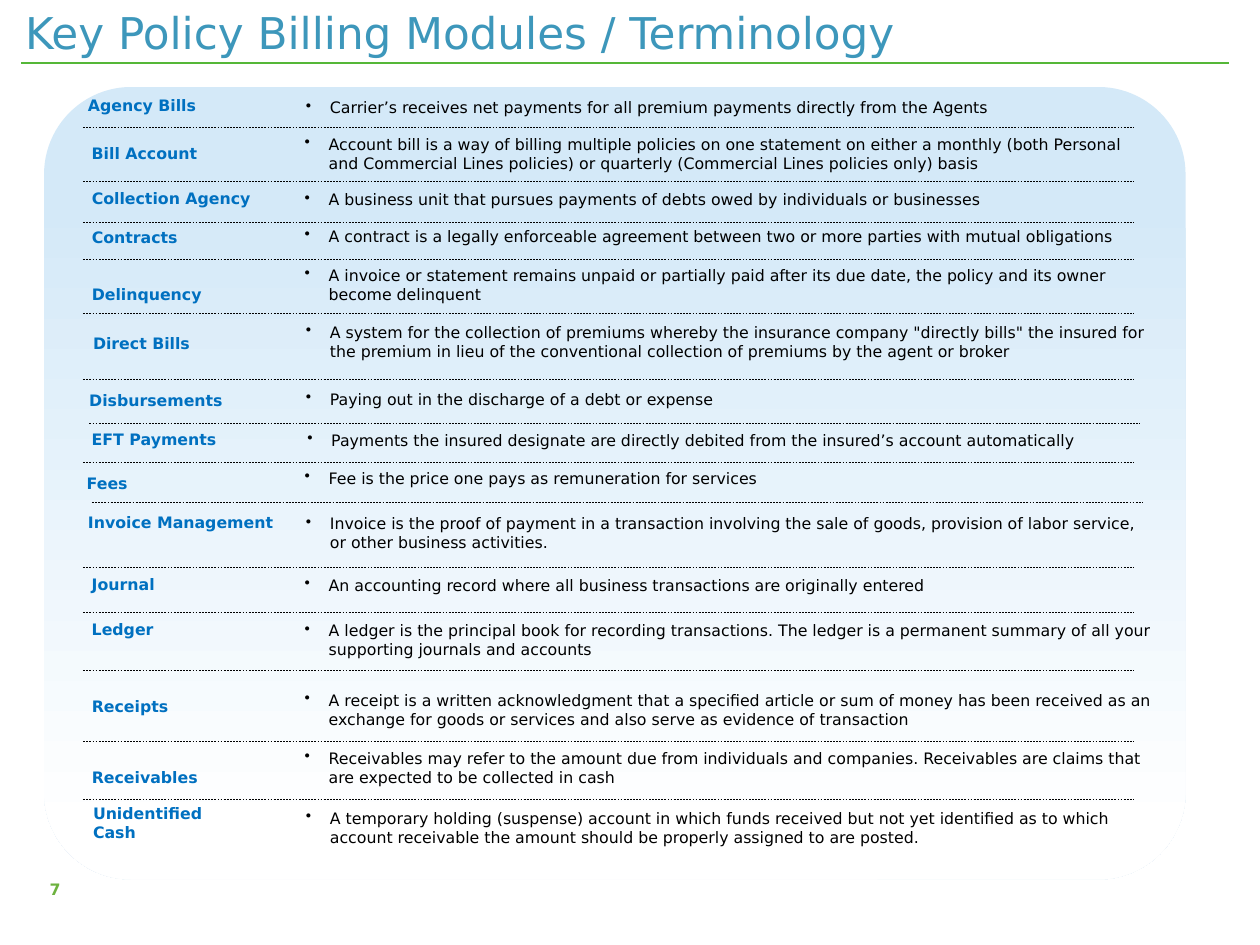
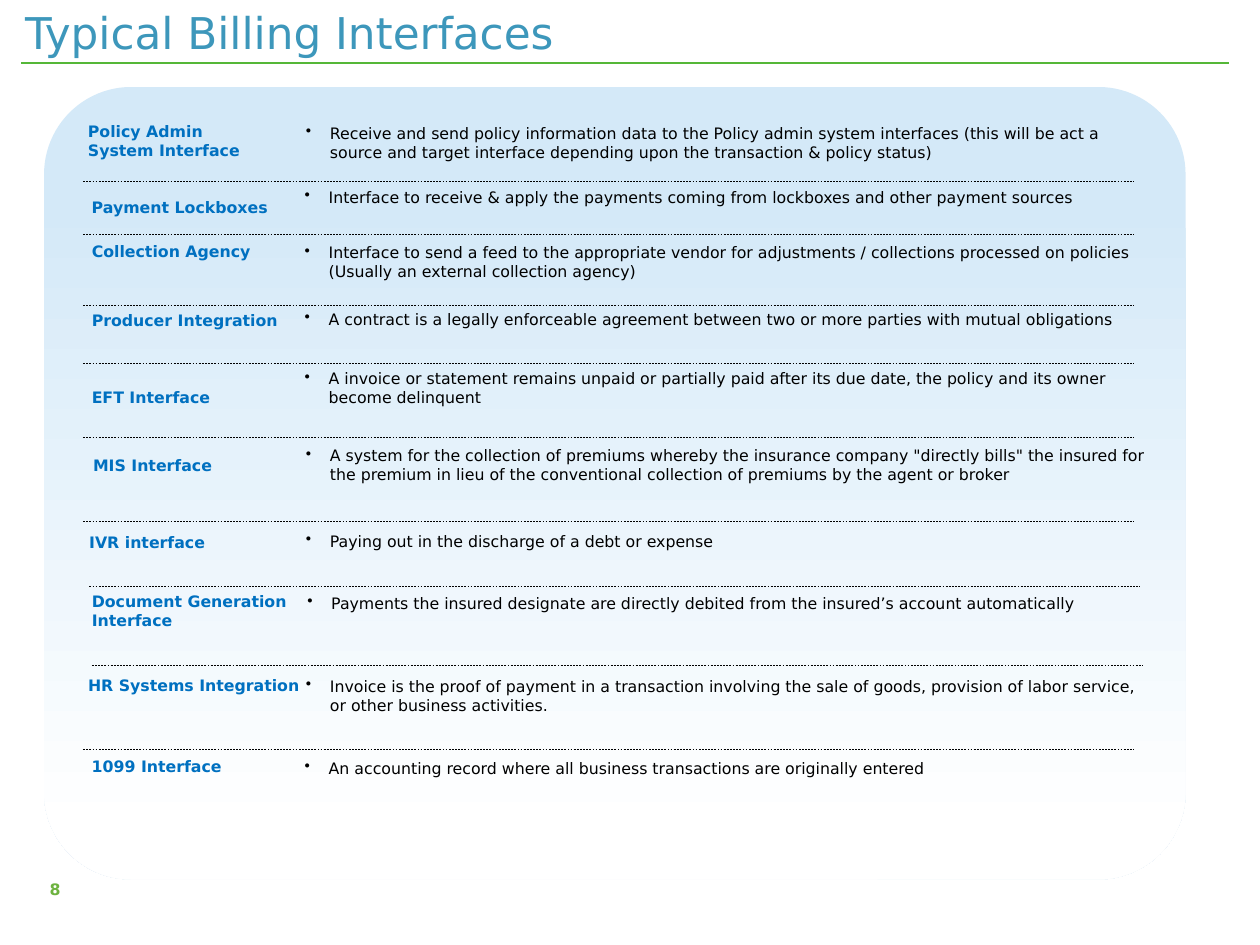
"""Builds two slides on insurance billing: key terms and typical interfaces."""
import pptx
import pptx.dml.color
import pptx.enum.dml
import pptx.enum.shapes
import pptx.enum.text
import pptx.oxml
import pptx.util
from pptx.util import Inches

FONT = "DejaVu Sans"
COLORS = {
    "title": "3D97BB", "rule": "55B738", "page": "6DB23F", "label": "0070C0",
    "text": "000000", "top": "D4E9F8", "base": "FFFFFF",
}
RULE_W = 8.34
EDGE, MID, FAR = 0.66, 0.71, 0.73

DEFS = {
    "contract": "A contract is a legally enforceable agreement between two or more parties with mutual obligations",
    "late": "A invoice or statement remains unpaid or partially paid after its due date, the policy and its owner become delinquent",
    "direct": "A system for the collection of premiums whereby the insurance company \"directly bills\" the insured for the premium in lieu of the conventional collection of premiums by the agent or broker",
    "payout": "Paying out in the discharge of a debt or expense",
    "debit": "Payments the insured designate are directly debited from the insured’s account automatically",
    "invoice": "Invoice is the proof of payment in a transaction involving the sale of goods, provision of labor service, or other business activities.",
    "journal": "An accounting record where all business transactions are originally entered",
}

# fmt: off
TERMS = [
    ("Agency Bills", (0.6, 0.71, 1.67, 0.25), "Carrier’s receives net payments for all premium payments directly from the Agents", (2.33, 0.73), None),
    ("Bill Account", (0.63, 1.09, 1.4, 0.25), "Account bill is a way of billing multiple policies on one statement on either a monthly (both Personal and Commercial Lines policies) or quarterly (Commercial Lines policies only) basis", (2.32, 1.02), (EDGE, 1.01)),
    ("Collection Agency", (0.63, 1.45, 1.59, 0.25), "A business unit that pursues payments of debts owed by individuals or businesses", (2.32, 1.46), (EDGE, 1.44)),
    ("Contracts", (0.63, 1.76, 1.58, 0.25), DEFS["contract"], (2.32, 1.75), (EDGE, 1.76)),
    ("Delinquency", (0.63, 2.21, 1.59, 0.25), DEFS["late"], (2.32, 2.06), (EDGE, 2.06)),
    ("Direct Bills", (0.64, 2.6, 1.4, 0.25), DEFS["direct"], (2.33, 2.51), (EDGE, 2.49)),
    ("Disbursements", (0.61, 3.05, 1.74, 0.25), DEFS["payout"], (2.33, 3.04), (EDGE, 3.01)),
    ("EFT Payments", (0.63, 3.36, 1.57, 0.25), DEFS["debit"], (2.34, 3.37), (MID, 3.36)),
    ("Fees", (0.59, 3.71, 1.57, 0.25), "Fee is the price one pays as remuneration for services", (2.32, 3.67), (EDGE, 3.67)),
    ("Invoice Management", (0.6, 4.02, 1.67, 0.4), DEFS["invoice"], (2.33, 4.03), (FAR, 3.99)),
    ("Journal", (0.63, 4.51, 1.4, 0.25), DEFS["journal"], (2.32, 4.52), (EDGE, 4.5)),
    ("Ledger", (0.63, 4.87, 1.4, 0.25), "A ledger is the principal book for recording transactions. The ledger is a permanent summary of all your supporting journals and accounts", (2.32, 4.88), (EDGE, 4.86)),
    ("Receipts", (0.63, 5.48, 1.58, 0.25), "A receipt is a written acknowledgment that a specified article or sum of money has been received as an exchange for goods or services and also serve as evidence of transaction", (2.32, 5.43), (EDGE, 5.32)),
    ("Receivables", (0.63, 6.04, 1.59, 0.25), "Receivables may refer to the amount due from individuals and companies. Receivables are claims that are expected to be collected in cash", (2.32, 5.89), (EDGE, 5.88)),
    ("Unidentified Cash", (0.64, 6.33, 1.4, 0.4), "A temporary holding (suspense) account in which funds received but not yet identified as to which account receivable the amount should be properly assigned to are posted.", (2.33, 6.37), (EDGE, 6.34)),
]
LINKS = [
    ("Policy Admin System Interface", (0.6, 0.92, 1.67, 0.4), "Receive and send policy information data to the Policy admin system interfaces (this will be act a source and target interface depending upon the transaction & policy status)", (2.33, 0.93), None),
    ("Payment Lockboxes", (0.63, 1.52, 1.64, 0.25), "Interface to receive & apply the payments coming from lockboxes and other payment sources", (2.32, 1.44), (EDGE, 1.44)),
    ("Collection Agency", (0.63, 1.87, 1.59, 0.25), "Interface to send a feed to the appropriate vendor for adjustments / collections processed on policies (Usually an external collection agency)", (2.32, 1.88), (EDGE, 1.86)),
    ("Producer Integration", (0.63, 2.42, 1.68, 0.25), DEFS["contract"], (2.32, 2.41), (EDGE, 2.42)),
    ("EFT Interface", (0.63, 3.03, 1.59, 0.25), DEFS["late"], (2.32, 2.88), (EDGE, 2.88)),
    ("MIS Interface", (0.64, 3.57, 1.4, 0.25), DEFS["direct"], (2.33, 3.49), (EDGE, 3.47)),
    ("IVR interface", (0.61, 4.18, 1.74, 0.25), DEFS["payout"], (2.33, 4.17), (EDGE, 4.14)),
    ("Document Generation Interface", (0.63, 4.65, 1.85, 0.4), DEFS["debit"], (2.34, 4.66), (MID, 4.65)),
    ("HR Systems Integration", (0.6, 5.31, 1.88, 0.25), DEFS["invoice"], (2.33, 5.32), (FAR, 5.28)),
    ("1099 Interface", (0.63, 5.96, 1.4, 0.25), DEFS["journal"], (2.32, 5.97), (EDGE, 5.95)),
]
# fmt: on
SLIDES = [
    ("Key Policy Billing Modules / Terminology", 7, TERMS),
    ("Typical Billing Interfaces", 8, LINKS),
]


def color(name):
    return pptx.dml.color.RGBColor.from_string(COLORS[name])


def add_text(slide, text, box, tint, size=9, bold=False, grow=False):
    frame = slide.shapes.add_textbox(*map(Inches, box)).text_frame
    frame.word_wrap = True
    if grow:
        frame.auto_size = pptx.enum.text.MSO_AUTO_SIZE.SHAPE_TO_FIT_TEXT
    para = frame.paragraphs[0]
    para.text = text
    font = para.runs[0].font
    font.name, font.size, font.bold = FONT, pptx.util.Pt(size), bold
    font.color.rgb = color(tint)
    return para


def add_rule(slide, x, y, width, tint, weight, dash=None):
    ends = map(Inches, (x, y, x + width, y))
    kind = pptx.enum.shapes.MSO_CONNECTOR.STRAIGHT
    rule = slide.shapes.add_connector(kind, *ends)
    rule.line.color.rgb = color(tint)
    rule.line.width = pptx.util.Pt(weight)
    rule.line.dash_style = dash
    props = rule._element.spPr
    props.append(props.makeelement(pptx.oxml.ns.qn("a:effectLst"), {}))


def add_bullet(para):
    props = para._p.get_or_add_pPr()
    props.set("marL", str(Inches(0.19)))
    props.set("indent", str(Inches(-0.19)))
    mark = props.makeelement(pptx.oxml.ns.qn("a:buChar"), {"char": "•"})
    props.append(mark)


def add_panel(slide):
    kind = pptx.enum.shapes.MSO_SHAPE.ROUNDED_RECTANGLE
    panel = slide.shapes.add_shape(kind, *map(Inches, (0.35, 0.69, 9.06, 6.29)))
    panel.adjustments[0] = 0.11
    panel.shadow.inherit = False
    panel.line.fill.background()
    panel.fill.gradient()
    panel.fill.gradient_angle = 270
    marks = ((0.14, "top"), (0.94, "base"))
    for stop, (place, tint) in zip(panel.fill.gradient_stops, marks):
        stop.position = place
        stop.color.rgb = color(tint)


def add_frame(slide, title, page):
    add_rule(slide, 0.17, 0.5, 9.58, "rule", 0.75)
    add_text(slide, title, (0.1, 0, 9.58, 1.05), "title", size=25)
    para = add_text(slide, str(page), (0.08, 6.92, 0.5, 0.5), "page", bold=True)
    para.alignment = pptx.enum.text.PP_ALIGN.RIGHT
    para.line_spacing = 1.1
    add_panel(slide)


def add_row(slide, label, box, text, spot, rule):
    if rule:
        dash = pptx.enum.dml.MSO_LINE.DASH
        add_rule(slide, *rule, RULE_W, "text", 0.25, dash)
    add_text(slide, label, box, "label", bold=True, grow=True)
    width = 6.52 if text == DEFS["debit"] else 6.92
    height = 0.4 if len(text) > 100 else 0.25
    add_bullet(add_text(slide, text, (*spot, width, height), "text", grow=True))


def main():
    deck = pptx.Presentation()
    deck.slide_width, deck.slide_height = Inches(10), Inches(7.5)
    for title, page, rows in SLIDES:
        slide = deck.slides.add_slide(deck.slide_layouts[6])
        add_frame(slide, title, page)
        for row in rows:
            add_row(slide, *row)
    deck.save("out.pptx")


if __name__ == "__main__":
    main()
